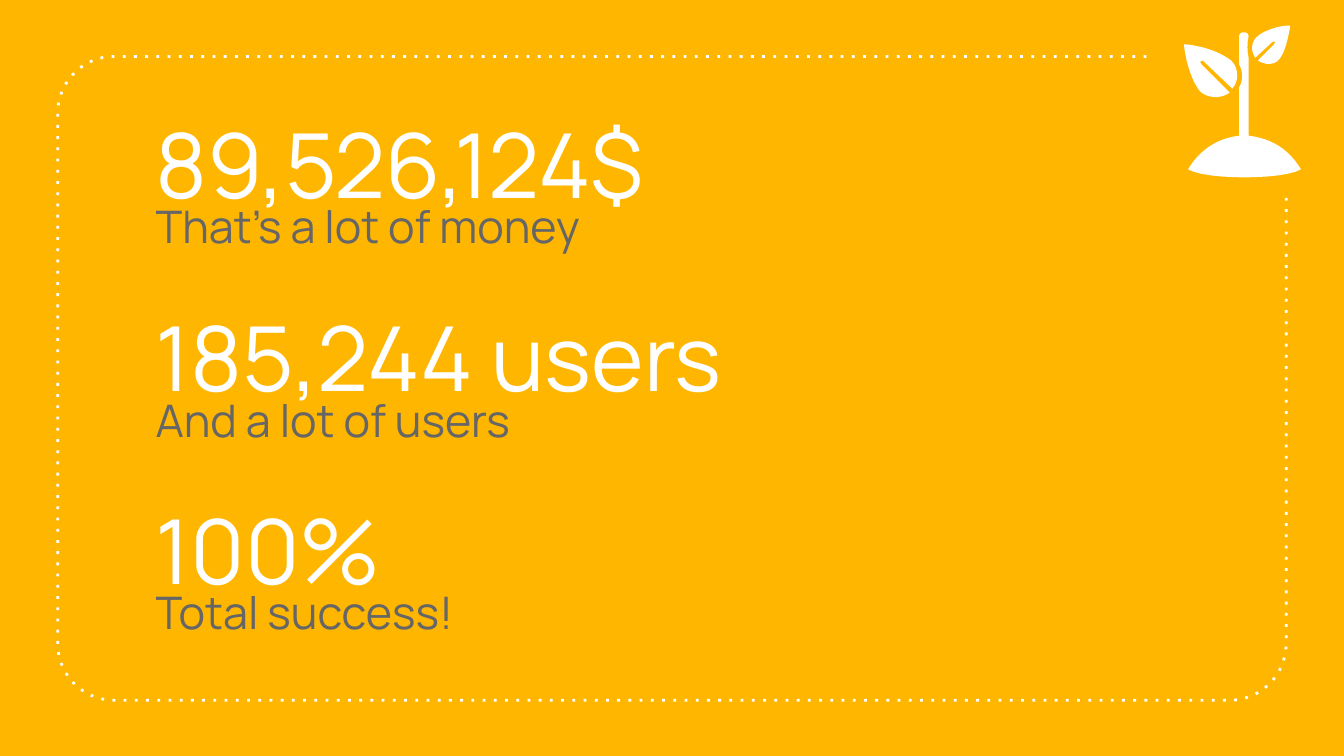
from dataclasses import dataclass
from math import cos, radians, sin

from pptx import Presentation
from pptx.dml.color import RGBColor
from pptx.enum.dml import MSO_LINE
from pptx.enum.text import MSO_ANCHOR
from pptx.util import Emu, Pt

PX = 9144  # EMU per px, 100 px to the inch
SLIDE_WIDTH = 1000 * PX
SLIDE_HEIGHT = SLIDE_WIDTH * 9 // 16
COLORS = {"background": "FFB600", "white": "FFFFFF", "grey": "666666"}
FONT = "Manrope"
Point = tuple[float, float]


@dataclass
class TextStyle:
    height: int
    size: int
    color: str
    space_before: int


@dataclass
class Fact:
    top: int
    figure: str
    caption: str


FIGURE = TextStyle(98, 48, "white", 0)
CAPTION = TextStyle(51, 24, "grey", 6)
TEXT_LEFT, TEXT_WIDTH, CAPTION_OFFSET = 106, 787, 67

FACTS = [
    Fact(71, "89,526,124$", "That’s a lot of money"),
    Fact(215, "185,244 users", "And a lot of users"),
    Fact(358, "100%", "Total success!"),
]

# Each step holds one point for a line, or three points for a Bezier curve
SMALL_LEAF = [
    [(960, 19)],
    [(958, 32), (955, 41), (951, 45)],
    [(947, 49), (940, 48), (936, 45)],
    [(948, 33)], [(949, 31)], [(947, 31)], [(934, 43)],
    [(930, 37), (931, 30), (937, 26)],
    [(941, 23), (951, 19), (960, 19)],
]
STEM_AND_SOIL = [
    [(922, 27)], [(922, 48)],
    [(925, 53), (925, 60), (922, 65)],
    [(922, 101)],
    [(906, 103), (893, 111), (884, 126)],
    [(897, 134), (955, 134), (968, 126)],
    [(959, 111), (946, 103), (929, 101)],
    [(929, 43)],
    [(928, 38), (928, 32), (929, 27)],
    [(929, 23), (922, 23), (922, 27)],
]
LARGE_LEAF = [
    [(881, 33)],
    [(882, 45), (887, 61), (893, 68)],
    [(898, 73), (908, 74), (915, 69)],
    [(894, 48)], [(893, 46)], [(895, 45)], [(896, 46)], [(917, 66)],
    [(922, 60), (922, 51), (916, 45)],
    [(908, 39), (895, 34), (881, 33)],
]


def rgb(name: str) -> RGBColor:
    return RGBColor.from_string(COLORS[name])


def set_all(target, values: dict) -> None:
    for name, value in values.items():
        setattr(target, name, value)


def corner(cx: int, cy: int, radius: int, start: int) -> list[Point]:
    """Points of a quarter turn, counter-clockwise on the slide."""
    angles = [radians(start - 6 * i) for i in range(16)]
    return [(cx + radius * cos(a), cy + radius * sin(a)) for a in angles]


def bezier(p0: Point, p1: Point, p2: Point, p3: Point) -> list[Point]:
    """Points along a cubic curve, without its start."""
    count = 12
    points = []
    for t in (i / count for i in range(1, count + 1)):
        u = 1 - t
        points.append(tuple(
            u**3 * a + 3 * u * u * t * b + 3 * u * t * t * c + t**3 * d
            for a, b, c, d in zip(p0, p1, p2, p3)))
    return points


def trace(steps: list[list[Point]]) -> list[Point]:
    """Turn lines and curves into one run of points."""
    points: list[Point] = []
    for step in steps:
        points += bezier(points[-1], *step) if len(step) == 3 else step
    return points


def add_outline(slide, points: list[Point], close: bool):
    # Tenths of a px keep the curves smooth
    (x, y), *rest = [(round(a * 10), round(b * 10)) for a, b in points]
    builder = slide.shapes.build_freeform(x, y, scale=PX / 10)
    builder.add_line_segments(rest, close=close)
    sp = builder.convert_to_shape()
    sp.shadow.inherit = False
    return sp


def add_frame(slide) -> None:
    left, top, right, bottom, radius = 43, 42, 957, 521, 42
    points = [
        (853, top),
        *corner(left + radius, top + radius, radius, 270),
        *corner(left + radius, bottom - radius, radius, 180),
        *corner(right - radius, bottom - radius, radius, 90),
        (right, 146),
    ]
    sp = add_outline(slide, points, close=False)
    sp.fill.background()
    sp.line.color.rgb = rgb("white")
    set_all(sp.line, {"width": Pt(1.5), "dash_style": MSO_LINE.ROUND_DOT})
    # The wide-spaced dot has no member in MSO_LINE
    for dash in sp._element.xpath(".//a:prstDash"):
        dash.set("val", "dot")


def add_plant(slide) -> None:
    for steps in (SMALL_LEAF, STEM_AND_SOIL, LARGE_LEAF):
        sp = add_outline(slide, trace(steps), close=True)
        sp.fill.solid()
        sp.fill.fore_color.rgb = rgb("white")
        sp.line.fill.background()


def add_text(slide, text: str, top: int, style: TextStyle) -> None:
    box = (TEXT_LEFT, top, TEXT_WIDTH, style.height)
    tf = slide.shapes.add_textbox(*(Emu(v * PX) for v in box)).text_frame
    margins = {f"margin_{side}": Emu(10 * PX)
               for side in ("left", "top", "right", "bottom")}
    set_all(tf, {"word_wrap": True, "vertical_anchor": MSO_ANCHOR.TOP, **margins})
    p = tf.paragraphs[0]
    p.space_before = Pt(style.space_before)
    r = p.add_run()
    r.text = text
    set_all(r.font, {"name": FONT, "size": Pt(style.size)})
    r.font.color.rgb = rgb(style.color)


def main() -> None:
    prs = Presentation()
    set_all(prs, {"slide_width": Emu(SLIDE_WIDTH), "slide_height": Emu(SLIDE_HEIGHT)})
    slide = prs.slides.add_slide(prs.slide_layouts[6])
    slide.background.fill.solid()
    slide.background.fill.fore_color.rgb = rgb("background")

    add_frame(slide)
    for fact in FACTS:
        add_text(slide, fact.figure, fact.top, FIGURE)
        add_text(slide, fact.caption, fact.top + CAPTION_OFFSET, CAPTION)
    add_plant(slide)
    prs.save("out.pptx")


if __name__ == "__main__":
    main()
